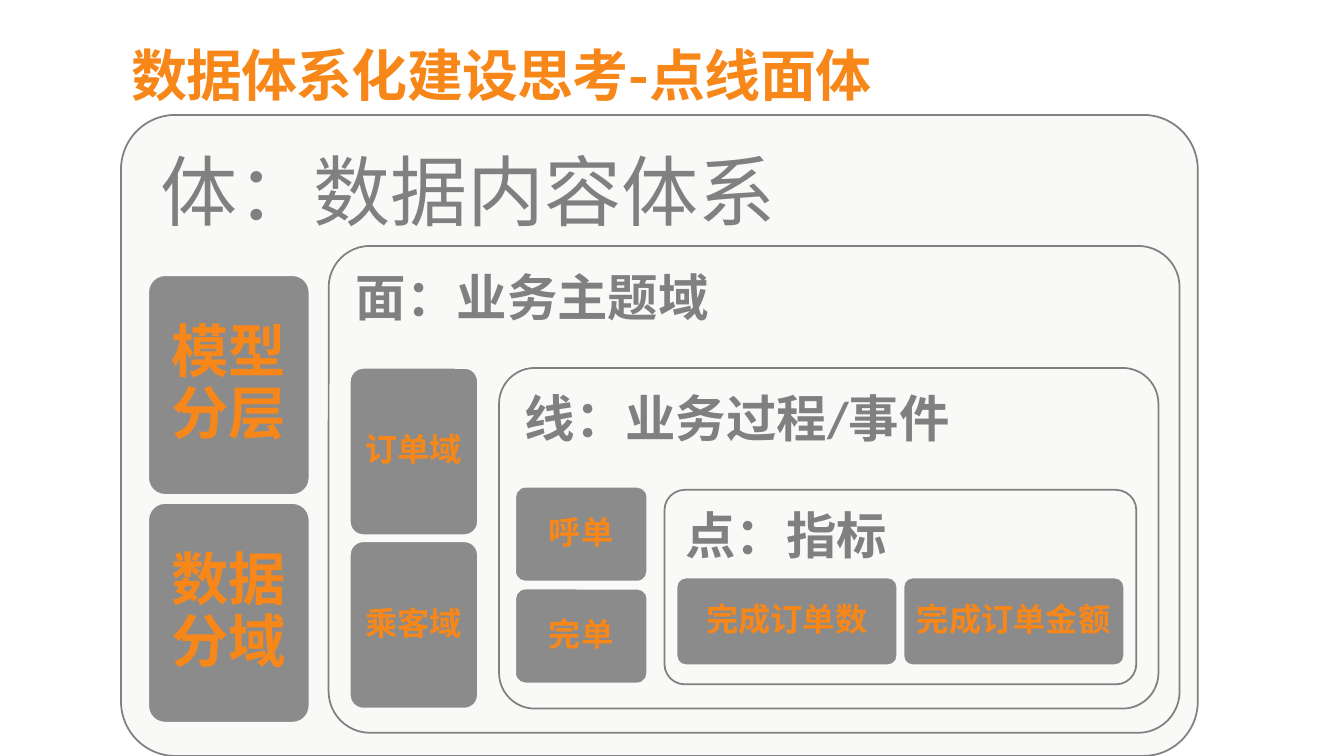
from lxml import etree
from pptx import Presentation
from pptx.dml.color import RGBColor
from pptx.enum.shapes import MSO_SHAPE
from pptx.enum.text import MSO_ANCHOR, MSO_AUTO_SIZE, PP_ALIGN
from pptx.oxml.ns import qn
from pptx.util import Inches, Pt

HUES = {"white": "FFFFFF", "pale": "F9F9F7", "grey": "808080", "orange": "F88719"}
HUES = {name: RGBColor.from_string(code) for name, code in HUES.items()}
HAN = "Noto Sans CJK SC"


def style(frame, text, size, hue, bold, font, space):
    frame.text = text
    para = frame.paragraphs[0]
    para.line_spacing = space
    run = para.runs[0]
    run.font.size = Pt(size)
    run.font.bold = bold
    run.font.name = font
    run.font.color.rgb = HUES[hue]
    props = run.font._element
    east = etree.Element(qn("a:ea"), typeface=HAN)
    props.find(qn("a:latin")).addnext(east)
    return para, props


def add_box(place, round_by, fill, line, inset):
    """Add a rounded rectangle and return it with an even text inset."""
    box = slide.shapes.add_shape(MSO_SHAPE.ROUNDED_RECTANGLE, *map(Inches, place))
    box.adjustments[0] = round_by
    box.shadow.inherit = False
    box.fill.solid()
    box.fill.fore_color.rgb = HUES[fill]
    box.line.color.rgb = HUES[line]
    box.line.width = Pt(1.25)
    frame = box.text_frame
    frame.word_wrap = True
    frame.margin_left = frame.margin_right = Inches(inset)
    frame.margin_top = frame.margin_bottom = Inches(inset)
    return box


deck = Presentation()
deck.slide_width, deck.slide_height = Inches(13.33), Inches(7.5)
slide = deck.slides.add_slide(deck.slide_layouts[5])
slide.background.fill.solid()
slide.background.fill.fore_color.rgb = HUES["white"]

title = slide.shapes.title
title.left, title.top = Inches(1.2), Inches(0.29)
title.width, title.height = Inches(11), Inches(0.83)
frame = title.text_frame
frame.auto_size = MSO_AUTO_SIZE.NONE
frame.vertical_anchor = MSO_ANCHOR.BOTTOM
para, props = style(frame, "数据体系化建设思考-点线面体", 40, "orange", True, HAN, 0.85)
para.alignment = PP_ALIGN.LEFT
props.set("spc", "-50")

# Each level: panel place, rounding, inset, heading, size, bold,
# then first tile place, step to the next tile, inset, size, labels
levels = [
    ((1.2, 1.14, 10.68, 6.36), 0.085, 0.23, "体：数据内容体系", 55, False,
     (1.47, 2.73, 1.6, 2.18), (0, 2.26), 0.17, 41, ["模型分层", "数据分域"]),
    ((3.26, 2.44, 8.44, 4.83), 0.085, 0.15, "面：业务主题域", 36, True,
     (3.47, 3.65, 1.27, 1.66), (0, 1.72), 0.1, 23, ["订单域", "乘客域"]),
    ((4.95, 3.65, 6.54, 3.38), 0.105, 0.15, "线：业务过程/事件", 36, True,
     (5.11, 4.83, 1.31, 0.94), (0, 1.01), 0.1, 23, ["呼单", "完单"]),
    ((6.59, 4.86, 4.68, 1.93), 0.105, 0.15, "点：指标", 36, True,
     (6.71, 5.73, 2.19, 0.87), (2.25, 0), 0.1, 23, ["完成订单数", "完成订单金额"]),
]

for (place, curve, inset, head, size, bold,
     first, step, pad, small, labels) in levels:
    panel = add_box(place, curve, "pale", "grey", inset)
    panel.text_frame.vertical_anchor = MSO_ANCHOR.TOP
    para, _ = style(panel.text_frame, head, size, "grey", bold, "Calibri", 0.9)
    para.alignment = PP_ALIGN.LEFT

    left, top, width, height = first
    for i, label in enumerate(labels):
        spot = (left + i * step[0], top + i * step[1], width, height)
        tile = add_box(spot, 0.105, "grey", "pale", pad)
        shade = tile.fill._xPr.find(qn("a:solidFill"))[0]
        etree.SubElement(shade, qn("a:alpha"), val="90000")
        tile.text_frame.vertical_anchor = MSO_ANCHOR.MIDDLE
        para, _ = style(tile.text_frame, label, small, "orange", True, "Calibri", 0.9)
        para.alignment = PP_ALIGN.CENTER

deck.save("out.pptx")
